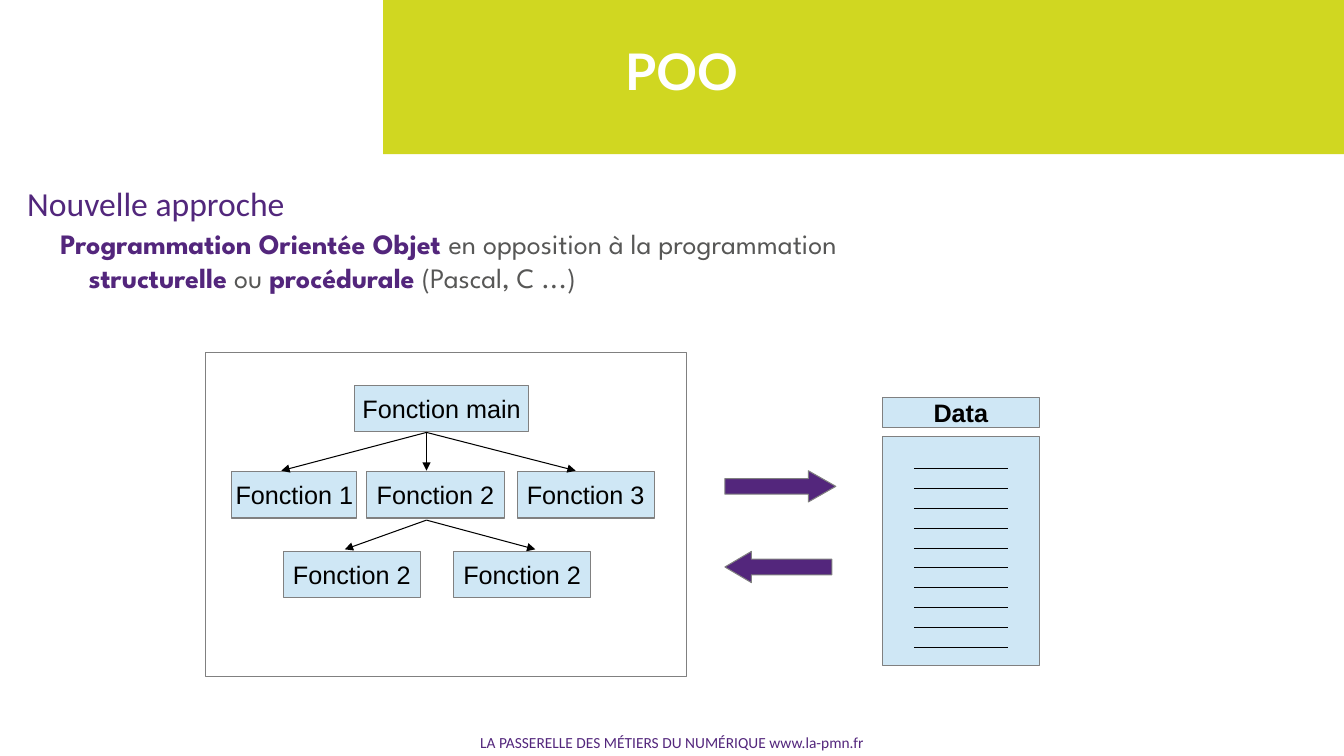
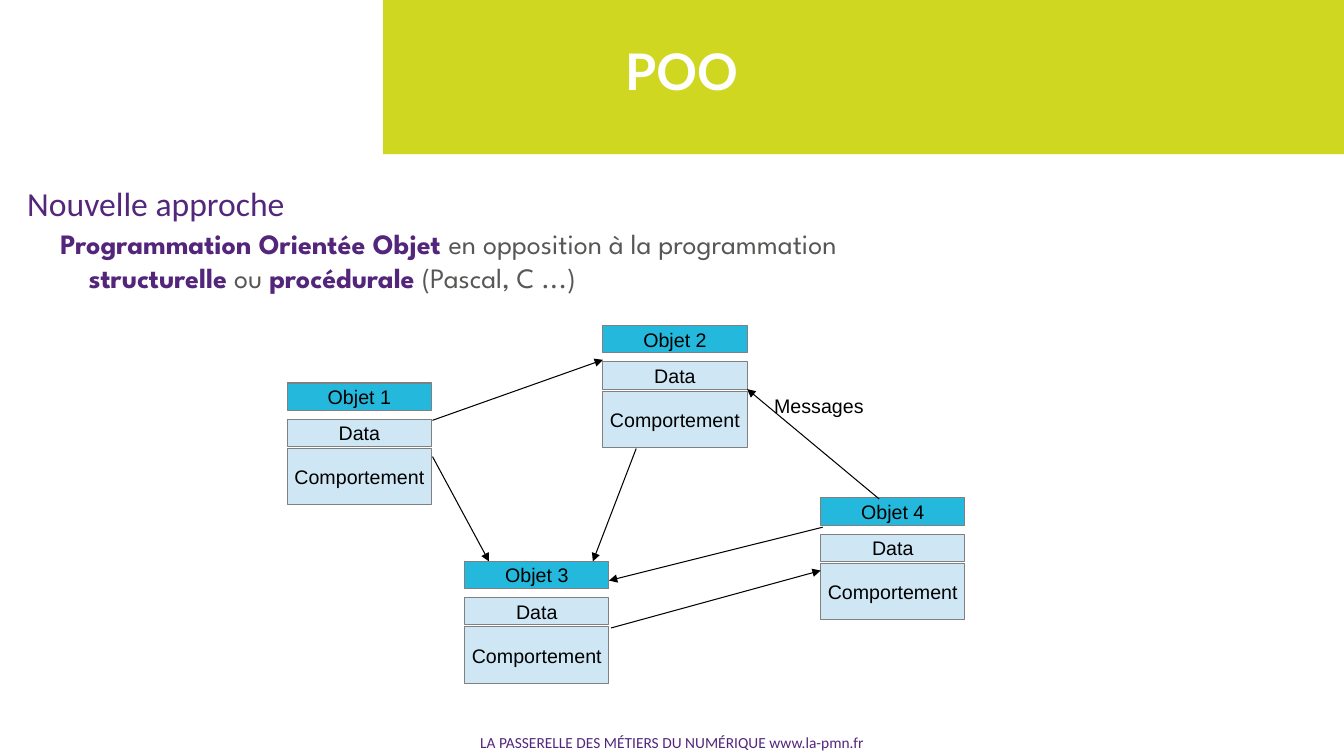
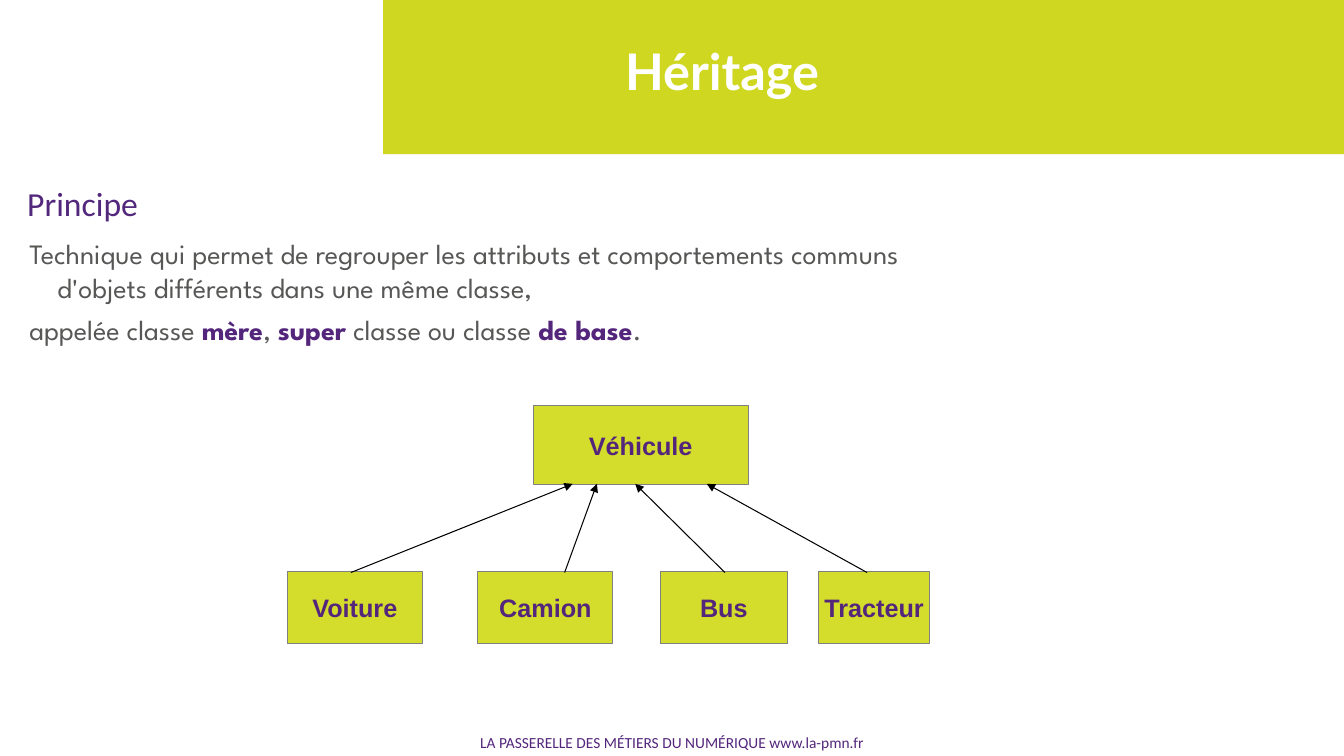
from dataclasses import dataclass

from lxml.etree import SubElement
from pptx import Presentation
from pptx.dml.color import RGBColor
from pptx.enum.shapes import MSO_CONNECTOR, MSO_SHAPE
from pptx.enum.text import MSO_ANCHOR, MSO_AUTO_SIZE, PP_ALIGN
from pptx.oxml.ns import qn
from pptx.util import Inches, Pt

CELL = 0.1
LIME = RGBColor(0xD0, 0xD7, 0x21)
LIGHT_LIME = RGBColor(0xD4, 0xDC, 0x2C)
PURPLE = RGBColor(0x53, 0x26, 0x7C)
HEADING_PURPLE = RGBColor(0x52, 0x27, 0x7C)
TEXT_GREY = RGBColor(0x57, 0x57, 0x56)
BORDER_GREY = RGBColor(0x80, 0x80, 0x80)
PALE_BLUE = RGBColor(0xCF, 0xE7, 0xF5)
CYAN = RGBColor(0x23, 0xB8, 0xDC)
BLACK = RGBColor(0, 0, 0)
WHITE = RGBColor(0xFF, 0xFF, 0xFF)

FOOTER = "LA PASSERELLE DES MÉTIERS DU NUMÉRIQUE www.la-pmn.fr"
APPROACH = [
    "*Programmation Orientée Objet *en opposition à la programmation "
    "*structurelle* ou *procédurale* (Pascal, C ...)"
]
PRINCIPLE = [
    "Technique qui permet de regrouper les attributs et comportements communs "
    "d'objets différents dans une même classe,",
    "appelée classe *mère*, *super* classe ou classe *de base*.",
]


@dataclass
class Box:
    column: float
    row: float
    columns: float
    rows: float

    def inner(self, column, row, columns, rows):
        return Box(self.column + column, self.row + row, columns, rows)

    def point(self, column, row):
        return cells(self.column + column), cells(self.row + row)

    def frame(self):
        return [cells(n) for n in (self.column, self.row, self.columns, self.rows)]


def cells(count):
    return Inches(count * CELL)


def place(shape, box):
    shape.left, shape.top, shape.width, shape.height = box.frame()


def write_text(shape, paragraphs, *, size, font="Arial", color=BLACK, bold=False,
               accent=PURPLE, align=PP_ALIGN.LEFT, anchor=MSO_ANCHOR.TOP,
               wrap=True, fit=MSO_AUTO_SIZE.NONE, gap=0, margin=0, indent=0,
               line_spacing=1.0):
    frame = shape.text_frame
    frame.word_wrap = wrap
    frame.auto_size = fit
    frame.vertical_anchor = anchor
    for index, text in enumerate(paragraphs):
        paragraph = frame.add_paragraph() if index else frame.paragraphs[0]
        if shape.is_placeholder:
            properties = paragraph._p.get_or_add_pPr()
            properties.set("marL", str(cells(margin)))
            properties.set("indent", str(cells(indent)))
            SubElement(properties, qn("a:buNone"))
        paragraph.alignment = align
        paragraph.line_spacing = line_spacing
        paragraph.space_before = Pt(gap if index else 0)
        for position, words in enumerate(text.split("*")):
            if not words:
                continue
            stressed = position % 2 == 1
            run = paragraph.add_run()
            run.text = words
            run.font.name = font
            run.font.size = Pt(size)
            run.font.bold = bold or stressed
            run.font.color.rgb = accent if stressed else color


def add_block(shapes, box, fill=None, kind=MSO_SHAPE.RECTANGLE, border=BORDER_GREY):
    block = shapes.add_shape(kind, *box.frame())
    block.shadow.inherit = False
    if fill is None:
        block.fill.background()
    else:
        block.fill.solid()
        block.fill.fore_color.rgb = fill
    if border is None:
        block.line.fill.background()
    else:
        block.line.color.rgb = border
        block.line.width = Pt(0.75)
    return block


def add_label(shapes, box, text, fill=PALE_BLUE, size=18, **text_format):
    block = add_block(shapes, box, fill)
    write_text(block, [text], size=size, align=PP_ALIGN.CENTER,
               anchor=MSO_ANCHOR.MIDDLE, wrap=False, **text_format)


def add_line(shapes, box, start, end, arrow=True):
    line = shapes.add_connector(MSO_CONNECTOR.STRAIGHT, *box.point(*start), *box.point(*end))
    line.line.color.rgb = BLACK
    line.line.width = Pt(0.75)
    if arrow:
        SubElement(line.line._get_or_add_ln(), qn("a:tailEnd"), type="triangle")
    SubElement(line._element.spPr, qn("a:effectLst"))


def add_band(slide):
    band = add_block(slide.shapes, Box(38, -0.4, 95.7, 15.7), LIME, border=None)
    slide.slide_layout.shapes.element.insert(2, band.element)


def add_page(presentation, title, heading, paragraphs, body_box):
    slide = presentation.slides.add_slide(presentation.slide_layouts[3])
    title_shape, body, subtitle = slide.placeholders
    place(title_shape, Box(61, 4.2, 53.8, 6))
    write_text(title_shape, [title], size=36, font="Lato", color=WHITE, bold=True,
               line_spacing=0.9)
    place(body, body_box)
    write_text(body, paragraphs, size=20, font="League Spartan", color=TEXT_GREY,
               gap=6, margin=3, indent=-2.8)
    place(subtitle, Box(1.7, 17.6, 57.6, 5.8))
    write_text(subtitle, [heading], size=24, font="Calibri", color=HEADING_PURPLE)
    footer = slide.shapes.add_textbox(*Box(0, 72.2, 133.33, 2.9).frame())
    write_text(footer, [FOOTER], size=11, font="Calibri", color=PURPLE,
               align=PP_ALIGN.CENTER, fit=MSO_AUTO_SIZE.SHAPE_TO_FIT_TEXT)
    return slide


def add_function_tree(slide, box):
    shapes = slide.shapes.add_group_shape().shapes
    add_block(shapes, box)
    for text, column, row, columns in [
        ("Fonction main", 14.8, 3.2, 17.2),
        ("Fonction 1", 2.6, 11.8, 12.4),
        ("Fonction 2", 16, 11.8, 13.6),
        ("Fonction 3", 30.9, 11.8, 13.6),
        ("Fonction 2", 7.7, 19.7, 13.6),
        ("Fonction 2", 24.6, 19.7, 13.6),
    ]:
        add_label(shapes, box.inner(column, row, columns, 4.6), text)
    for start_row, end_row, end_columns in [
        (7.9, 11.7, (7.5, 21.9, 36.7)),
        (16.6, 19.5, (13.8, 32.7)),
    ]:
        for end_column in end_columns:
            add_line(shapes, box, (21.9, start_row), (end_column, end_row))


def add_data_sheet(slide, box):
    shapes = slide.shapes.add_group_shape().shapes
    add_block(shapes, box.inner(0, 3.9, box.columns, box.rows - 3.9), PALE_BLUE)
    add_label(shapes, box.inner(0, 0, box.columns, 3), "Data", bold=True)
    for index in range(10):
        row = 7.1 + 1.97 * index
        add_line(shapes, box, (3.2, row), (12.5, row), arrow=False)


def add_exchange_arrows(slide, box):
    for kind, row, columns, head in [
        (MSO_SHAPE.RIGHT_ARROW, 0, 11, 0.88),
        (MSO_SHAPE.LEFT_ARROW, 8, 10.6, 0.85),
    ]:
        arrow = add_block(slide.shapes, box.inner(0, row, columns, 3.1), PURPLE, kind)
        arrow.adjustments[1] = head


def add_object_card(shapes, box, name):
    for text, row, rows, fill in [
        (name, 0, 2.7, CYAN),
        ("Data", 3.6, 2.7, PALE_BLUE),
        ("Comportement", 6.5, 5.6, PALE_BLUE),
    ]:
        add_label(shapes, box.inner(0, row, box.columns, rows), text, fill, size=14)


def add_object_network(slide, box):
    shapes = slide.shapes.add_group_shape().shapes
    corners = [(0, 5.7), (31.3, 0), (17.6, 23.4), (52.9, 17.1)]
    for number, corner in enumerate(corners, 1):
        add_object_card(shapes, box.inner(*corner, 14.3, 12.1), f"Objet {number}")
    for start, end in [
        ((14.4, 9.4), (31.3, 3.4)),
        ((14.4, 13), (20, 23.4)),
        ((34.6, 12.2), (30.3, 23.4)),
        ((32.1, 30), (52.9, 24.3)),
        ((53.1, 20), (31.9, 25.3)),
        ((58.7, 17.2), (45.6, 6.3)),
    ]:
        add_line(shapes, box, start, end)
    messages = shapes.add_textbox(*box.inner(47.3, 6.3, 12, 3.4).frame())
    write_text(messages, ["Messages"], size=14)


def add_class_tree(slide, box):
    shapes = slide.shapes
    style = {"fill": LIGHT_LIME, "color": PURPLE, "bold": True}
    add_label(shapes, box.inner(24.4, 0, 21.3, 7.9), "Véhicule", **style)
    for text, column, columns, start, end in [
        ("Voiture", 0, 13.4, 6.3, 28.3),
        ("Camion", 18.9, 13.4, 27.5, 30.7),
        ("Bus", 37, 12.6, 43.4, 34.5),
        ("Tracteur", 52.7, 11, 57.5, 41.6),
    ]:
        add_label(shapes, box.inner(column, 16.5, columns, 7.1), text, **style)
        add_line(shapes, box, (start, 16.6), (end, 7.8))


def main():
    presentation = Presentation()
    presentation.slide_width, presentation.slide_height = Inches(13.33), Inches(7.5)
    approach_box = Box(4.8, 22, 93, 8)

    procedural = add_page(presentation, "POO", "Nouvelle approche", APPROACH, approach_box)
    add_band(procedural)
    add_function_tree(procedural, Box(20.4, 35, 47.7, 32.1))
    add_data_sheet(procedural, Box(87.5, 39.4, 15.6, 26.6))
    add_exchange_arrows(procedural, Box(71.9, 46.7, 11, 11.1))

    objects = add_page(presentation, "POO", "Nouvelle approche", APPROACH, approach_box)
    add_object_network(objects, Box(28.5, 32.3, 67.2, 35.5))

    inheritance = add_page(presentation, "Héritage", "Principe", PRINCIPLE,
                           Box(1.7, 23, 93, 14.7))
    add_class_tree(inheritance, Box(28.5, 40.2, 63.7, 23.6))

    presentation.save("out.pptx")


if __name__ == "__main__":
    main()
